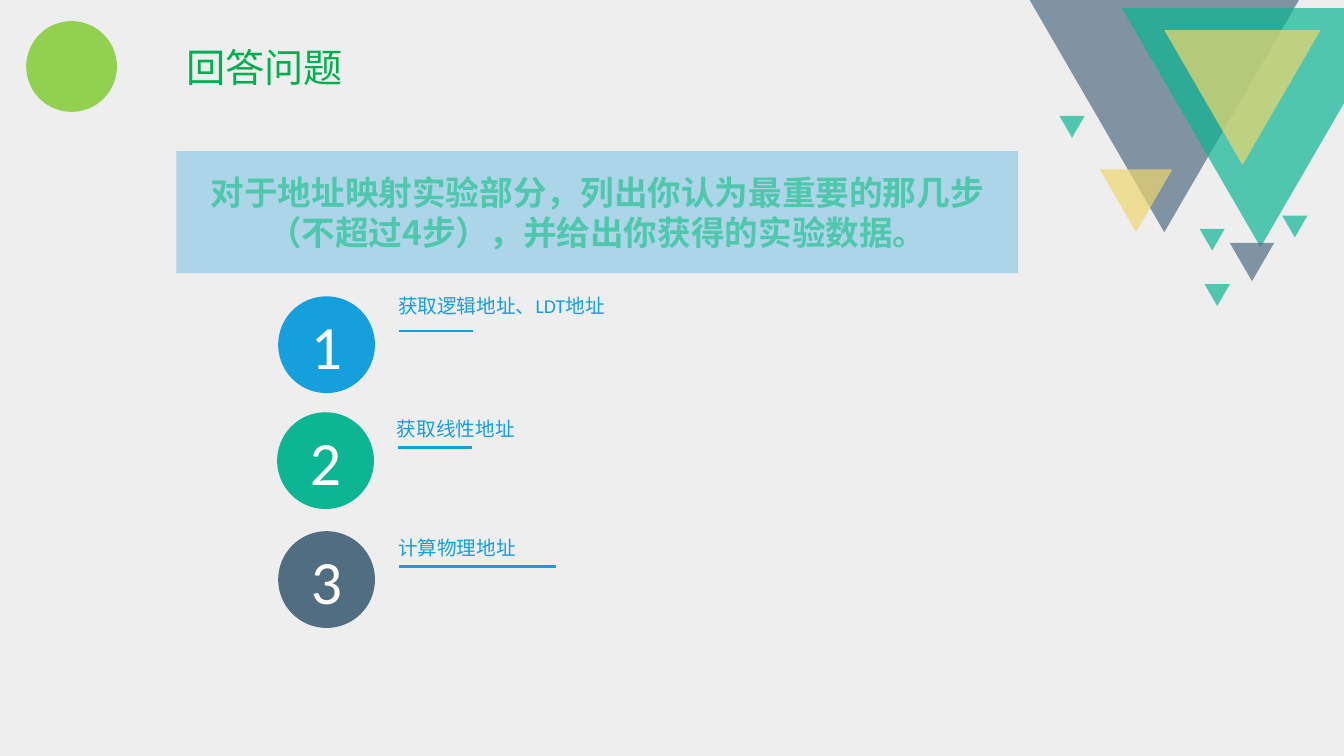
from lxml import etree
from pptx import Presentation
from pptx import util as u
from pptx.dml.color import RGBColor
from pptx.enum import shapes, text
from pptx.oxml.ns import qn

COLORS = {
    "background": "EEEEEE", "blue": "159FDD", "teal": "0CB692", "slate": "516D82",
    "yellow": "EED66F", "lime": "92D050", "title": "00B050", "question": "4FC7AD",
    "white": "FFFFFF",
}
COLUMNS, ROWS = 133.33, 75
TRIANGLE_RATIO = 0.8625
CJK_FONT = "Noto Sans CJK SC"


class SlideBuilder:
    """Draws styled elements; lengths are columns and rows of the slide grid."""

    def __init__(self, presentation):
        self.column = presentation.slide_width / COLUMNS
        self.row = presentation.slide_height / ROWS
        self.slide = presentation.slides.add_slide(presentation.slide_layouts[5])
        fill = self.slide.background.fill
        fill.solid()
        fill.fore_color.rgb = self.color("background")

    def color(self, name):
        return RGBColor.from_string(COLORS[name])

    def box(self, left, top, width, height):
        return (int(left * self.column), int(top * self.row),
                int(width * self.column), int(height * self.row))

    def add_text(self, shape, words, size, color, font="Calibri", bold=False,
                 centered=False, wrap=True):
        frame = shape.text_frame
        frame.word_wrap = wrap
        frame.auto_size = text.MSO_AUTO_SIZE.NONE
        frame.vertical_anchor = text.MSO_ANCHOR.MIDDLE if centered else text.MSO_ANCHOR.TOP
        paragraph = frame.paragraphs[0]
        paragraph.alignment = text.PP_ALIGN.CENTER if centered else text.PP_ALIGN.LEFT
        run = paragraph.add_run()
        run.text = words
        run.font.size = u.Pt(size)
        run.font.bold = bold
        run.font.name = font
        run.font.color.rgb = self.color(color)
        east_asian = etree.SubElement(run.font._element, qn("a:ea"))
        east_asian.set("typeface", CJK_FONT)

    def title(self, words, *box):
        shape = self.slide.shapes.title
        shape.left, shape.top, shape.width, shape.height = self.box(*box)
        self.add_text(shape, words, 28, "title", font="League Spartan", wrap=False)

    def shape(self, kind, color, *box, opacity=100):
        shape = self.slide.shapes.add_shape(kind, *self.box(*box))
        shape.shadow.inherit = False
        shape.fill.solid()
        shape.fill.fore_color.rgb = self.color(color)
        shape.line.fill.background()
        if opacity < 100:
            rgb = shape._element.spPr.find(f"{qn('a:solidFill')}/{qn('a:srgbClr')}")
            etree.SubElement(rgb, qn("a:alpha")).set("val", str(opacity * 1000))
        return shape

    def triangle(self, color, left, top, width):
        """Add a translucent triangle that points down."""
        shape = self.shape(shapes.MSO_SHAPE.ISOSCELES_TRIANGLE, color,
                           left, top, width, width * TRIANGLE_RATIO, opacity=70)
        shape.rotation = 180

    def circle(self, color, left, top, diameter):
        return self.shape(shapes.MSO_SHAPE.OVAL, color, left, top, diameter, diameter)

    def label(self, words, *box):
        shape = self.slide.shapes.add_textbox(*self.box(*box))
        self.add_text(shape, words, 14, "blue")

    def underline(self, left, top, length):
        x, y, width, _ = self.box(left, top, length, 0)
        line = self.slide.shapes.add_connector(
            shapes.MSO_CONNECTOR.STRAIGHT, x, y, x + width, y)
        line.line.color.rgb = self.color("blue")
        line.line.width = u.Pt(1.5)
        etree.SubElement(line._element.spPr, qn("a:effectLst"))

    def step(self, number, words, color, left, top, label_top, line_top, line_length):
        """Add a numbered circle with its underlined label."""
        badge = self.circle(color, left, top, 9.6)
        self.add_text(badge, str(number), 44, "white", centered=True)
        self.label(words, left + 10.9, label_top, 24.6, 3.4)
        self.underline(left + 12, line_top, line_length)


TRIANGLES = [
    ("slate", 100, -3.7, 31), ("teal", 111.3, 0.8, 27.5), ("yellow", 115.5, 3, 15.5),
    ("yellow", 109.1, 16.8, 7.2), ("teal", 127.2, 21.4, 2.5), ("teal", 119.5, 28.2, 2.5),
    ("teal", 119, 22.7, 2.5), ("slate", 122, 24.1, 4.4), ("teal", 105.1, 11.5, 2.5),
]
STEPS = [
    ("获取逻辑地址、LDT地址", "blue", 27.6, 29.4, 28.7, 32.8, 7.3),
    ("获取线性地址", "teal", 27.5, 40.9, 40.9, 44.4, 7.3),
    ("计算物理地址", "slate", 27.6, 52.7, 52.7, 56.2, 15.6),
]
QUESTION = "对于地址映射实验部分，列出你认为最重要的那几步（不超过4步），并给出你获得的实验数据。"


def main():
    presentation = Presentation()
    presentation.slide_width = u.Inches(13.33)
    presentation.slide_height = u.Inches(7.5)
    builder = SlideBuilder(presentation)

    for triangle in TRIANGLES:
        builder.triangle(*triangle)
    builder.circle("lime", 2.6, 2.1, 9)
    builder.title("回答问题", 17.5, 3.8, 17.7, 5.7)

    banner = builder.shape(shapes.MSO_SHAPE.RECTANGLE, "blue",
                           17.5, 15, 83.5, 12.1, opacity=30)
    builder.add_text(banner, QUESTION, 24, "question", font=CJK_FONT, bold=True,
                     centered=True)

    for number, step in enumerate(STEPS, start=1):
        builder.step(number, *step)

    presentation.save("out.pptx")


if __name__ == "__main__":
    main()
